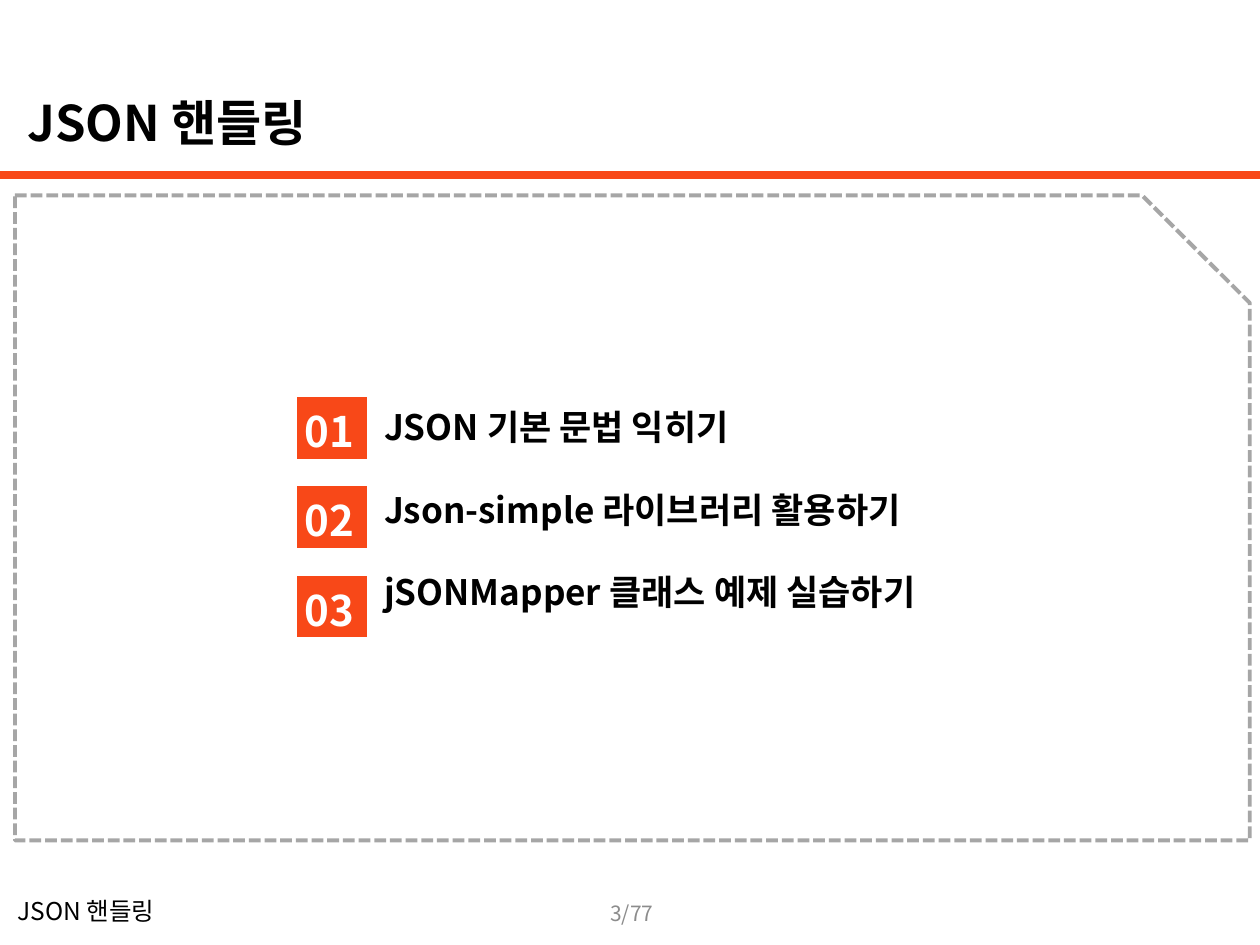
from pptx import Presentation
from pptx.dml.color import RGBColor
from pptx.enum.dml import MSO_LINE
from pptx.enum.shapes import MSO_CONNECTOR, MSO_SHAPE
from pptx.enum.text import MSO_ANCHOR, PP_ALIGN
from pptx.oxml.ns import qn
from pptx.util import Pt
from lxml.etree import SubElement

# Content
TITLE = "JSON 핸들링"
PAGE = "3/77"
TOPICS = [
    "JSON 기본 문법 익히기",
    "Json-simple 라이브러리 활용하기",
    "jSONMapper 클래스 예제 실습하기",
]
FONT = "Noto Sans CJK KR"
COLORS = {"text": "000000", "accent": "F84818", "frame": "A6A6A6",
          "page": "8C8C8C", "number": "FFFFFF"}

# Layout in points
WIDTH, HEIGHT = 720, 540
RULE_Y = 100
BOX_LEFT, BOX_TOP, BOX_STEP = 170, 226.8, 51.1
BOX_W, BOX_H = 39.6, 35.3
TOPIC_GAP = 20.7


def color(name):
    return RGBColor.from_string(COLORS[name])


def place(shape, left, top, width, height):
    shape.left, shape.top = Pt(left), Pt(top)
    shape.width, shape.height = Pt(width), Pt(height)


def write(shape, lines, size, tone="text", bold=False,
          align=PP_ALIGN.LEFT, anchor=MSO_ANCHOR.TOP):
    frame = shape.text_frame
    frame.text = "\n".join(lines)
    frame.word_wrap = True
    frame.vertical_anchor = anchor
    for para in frame.paragraphs:
        para.alignment = align
        for run in para.runs:
            font = run.font
            font.name, font.size, font.bold = FONT, Pt(size), bold
            font.color.rgb = color(tone)
            SubElement(run._r.get_or_add_rPr(), qn("a:ea"), typeface=FONT)
    return frame


def add_text(shapes, area, lines, size, **style):
    box = shapes.add_textbox(*map(Pt, area))
    return write(box, lines, size, **style)


prs = Presentation()
prs.slide_width, prs.slide_height = Pt(WIDTH), Pt(HEIGHT)
slide = prs.slides.add_slide(prs.slide_layouts[5])
shapes = slide.shapes

# Title
place(shapes.title, 8.6, 49, 680.4, 40.3)
write(shapes.title, [TITLE], 28, bold=True)

# Footer and page number
add_text(shapes, (2.9, 508.3, 275, 23.8), [TITLE], 14)
add_text(shapes, (247, 507.6, 228.2, 28.8), [PAGE], 12, tone="page",
         align=PP_ALIGN.CENTER, anchor=MSO_ANCHOR.MIDDLE)

# Rule under the title
rule = shapes.add_connector(MSO_CONNECTOR.STRAIGHT, 0, Pt(RULE_Y),
                            Pt(WIDTH), Pt(RULE_Y))
rule.line.color.rgb = color("accent")
rule.line.width = Pt(4.5)
SubElement(rule._element.spPr, qn("a:effectLst"))

# Dashed frame with a cut corner
frame = shapes.add_shape(MSO_SHAPE.SNIP_1_RECTANGLE, Pt(8.6), Pt(111.6),
                         Pt(705.6), Pt(368.6))
frame.adjustments[0] = 0.167
frame.shadow.inherit = False
frame.fill.background()
frame.line.color.rgb = color("frame")
frame.line.width = Pt(2.25)
frame.line.dash_style = MSO_LINE.SQUARE_DOT

# Topics
topics = add_text(shapes, (212.4, 226, 501.8, 139), TOPICS, 20, bold=True)
for para in topics.paragraphs:
    para.line_spacing = 1.1
    para.space_after = Pt(TOPIC_GAP)

# Numbered boxes
for i in range(len(TOPICS)):
    top = BOX_TOP + i * BOX_STEP
    group = shapes.add_group_shape().shapes
    box = group.add_shape(MSO_SHAPE.FLOWCHART_PROCESS, Pt(BOX_LEFT), Pt(top),
                          Pt(BOX_W), Pt(BOX_H))
    box.shadow.inherit = False
    box.fill.solid()
    box.fill.fore_color.rgb = color("accent")
    box.line.fill.background()
    add_text(group, (BOX_LEFT - 8.6, top + 1.2, 53.3, BOX_H), [f"{i + 1:02}"],
             24, tone="number", bold=True, align=PP_ALIGN.CENTER)

prs.save("out.pptx")
